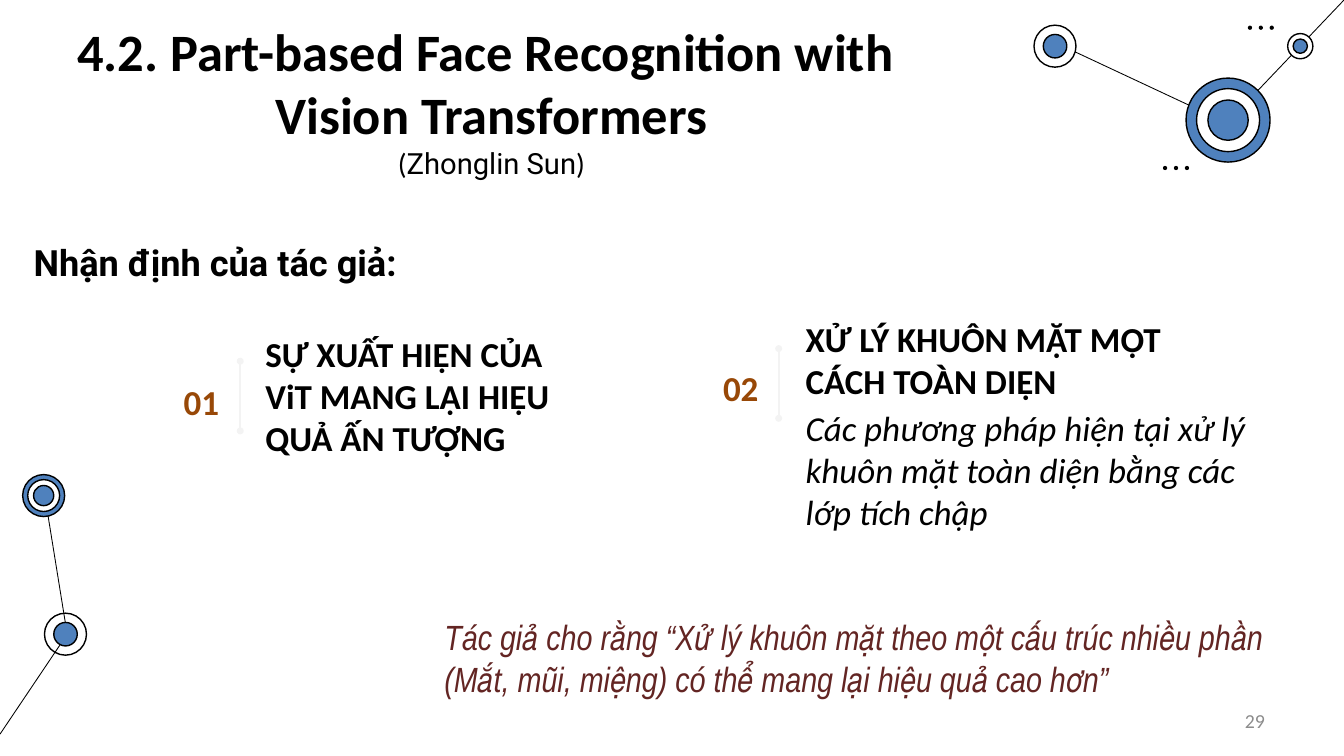
from pptx import Presentation, util as u
from pptx.dml.color import RGBColor as Rgb
from pptx.enum import shapes as sh, text as tx
from pptx.oxml import ns
from lxml import etree

COLS, ROWS = 16, 9
HEX = {"ink": "000000", "blue": "4F81BD", "white": "FFFFFF", "brown": "984807",
       "wine": "632523", "pale": "F3F3F3", "gray": "8C8C8C"}

deck = Presentation()
deck.slide_width, deck.slide_height = u.Inches(16), u.Inches(9)
slide = deck.slides.add_slide(deck.slide_layouts[6])
col, row = deck.slide_width / COLS, deck.slide_height / ROWS
LEFT, MID, RIGHT = tx.PP_ALIGN.LEFT, tx.PP_ALIGN.CENTER, tx.PP_ALIGN.RIGHT


def link(ends, hue, width, tip=None):
    """Draw a line between two grid points, with the same tip at both ends."""
    x1, y1, x2, y2 = ends
    line = slide.shapes.add_connector(
        sh.MSO_CONNECTOR.STRAIGHT, int(x1 * col), int(y1 * row), int(x2 * col), int(y2 * row))
    line.line.color.rgb = Rgb.from_string(HEX[hue])
    line.line.width = u.Pt(width)
    props = line._element.spPr
    if tip:
        for end in ("a:headEnd", "a:tailEnd"):
            etree.SubElement(props.find(ns.qn("a:ln")), ns.qn(end), type=tip)
    etree.SubElement(props, ns.qn("a:effectLst"))


def write(area, lines, size, hue="ink", face="Calibri", bold=False, slant=False,
          align=LEFT, mid=False, pad=(0.13, 0.13), wrap=True):
    x, y, w, h = area
    box = slide.shapes.add_textbox(int(x * col), int(y * row), int(w * col), int(h * row))
    frame = box.text_frame
    frame.word_wrap = wrap
    frame.margin_left = frame.margin_right = u.Inches(pad[0])
    frame.margin_top = frame.margin_bottom = u.Inches(pad[1])
    frame.vertical_anchor = tx.MSO_ANCHOR.MIDDLE if mid else tx.MSO_ANCHOR.TOP
    for i, words in enumerate(lines):
        par = frame.paragraphs[0] if i == 0 else frame.add_paragraph()
        par.add_run().text = words
        par.alignment = align
        font = par.font
        font.size, font.name, font.bold, font.italic = u.Pt(size), face, bold, slant
        font.color.rgb = Rgb.from_string(HEX[hue])
    return frame


# Network in the corners
for ends in ((0.8, 7.55, 0.53, 5.88), (0, 8.74, 0.78, 7.58),
             (14.62, 1.47, 12.59, 0.52), (16, 0, 14.62, 1.45)):
    link(ends, "ink", 0.75)

# Centre of each node, then the width and fill of its rings
nodes = [
    (0.78, 7.55, [(0.5, None), (0.28, "blue")]),
    (0.52, 5.9, [(0.5, "blue"), (0.38, "white"), (0.24, "blue")]),
    (14.62, 1.43, [(1, "blue"), (0.75, "white"), (0.48, "blue")]),
    (12.56, 0.55, [(0.5, "white"), (0.28, "blue")]),
    (15.48, 0.55, [(0.3, "white"), (0.17, "blue")]),
]
for x, y in ((15.01, 0.33), (14, 2)):
    nodes += [(x + step * 0.13, y, [(0.05, "ink")]) for step in (-1, 0, 1)]

for x, y, rings in nodes:
    for size, hue in rings:
        disc = slide.shapes.add_shape(
            sh.MSO_SHAPE.OVAL, int((x - size / 2) * col), int((y - size / 2) * row),
            int(size * col), int(size * row))
        disc.shadow.inherit = False
        if hue:
            disc.fill.solid()
            disc.fill.fore_color.rgb = Rgb.from_string(HEX[hue])
        else:
            disc.fill.background()
        if hue == "ink":
            disc.line.fill.background()
        else:
            disc.line.color.rgb = Rgb.from_string(HEX["ink"])
            disc.line.width = u.Pt(1.2)

# Heading
head = write((-1.03, 0.1, 13.76, 1.1),
             ["4.2. Part-based Face Recognition with ", "Vision Transformers"],
             45, bold=True, align=MID)
credit = head.add_paragraph()
credit.alignment = MID
credit.font.size, credit.font.name = u.Pt(25), "Calibri"
credit.font.color.rgb = Rgb.from_string(HEX["ink"])
for words in ("(", "Zhonglin Sun", ")"):
    run = credit.add_run()
    run.text = words
    if words == "Zhonglin Sun":
        run.font.name = "Roboto"

write((0.27, 2.8, 4.89, 0.65), ["Nhận định của tác giả:"], 31, face="Roboto",
      bold=True, pad=(0.13, 0.06), wrap=False)

# Numbered points: number, its area, title, its area, divider x and top
points = [
    ("01", (1.61, 4.43, 1.13, 0.7), "SỰ XUẤT HIỆN CỦA ViT MANG LẠI HIỆU QUẢ ẤN TƯỢNG",
     (3.03, 4.43, 4.05, 0.55), 2.86, 4.3),
    ("02", (8, 4.27, 1.16, 0.68), "XỬ LÝ KHUÔN MẶT MỘT CÁCH TOÀN DIỆN",
     (9.46, 4, 5.21, 0.55), 9.27, 4.15),
]
for num, spot, title, area, x, top in points:
    write(spot, [num], 30, "brown", bold=True, align=RIGHT, mid=True)
    write(area, [title], 30, bold=True, mid=True)
    link((x, top, x, top + 0.83), "pale", 1.5, "oval")

write((9.46, 4.71, 5.63, 0.85),
      ["Các phương pháp hiện tại xử lý khuôn mặt toàn diện bằng các lớp tích chập"],
      30, slant=True)
write((5.16, 7.27, 10.69, 1.17),
      ["Tác giả cho rằng “Xử lý khuôn mặt theo một cấu trúc nhiều phần "
       "(Mắt, mũi, miệng) có thể mang lại hiệu quả cao hơn”"],
      30, "wine", "Arial Narrow", slant=True, pad=(0.13, 0.06))
write((11.47, 8.34, 3.73, 0.48), ["29"], 17, "gray", align=RIGHT, mid=True, pad=(0.14, 0.07))

deck.save("out.pptx")
